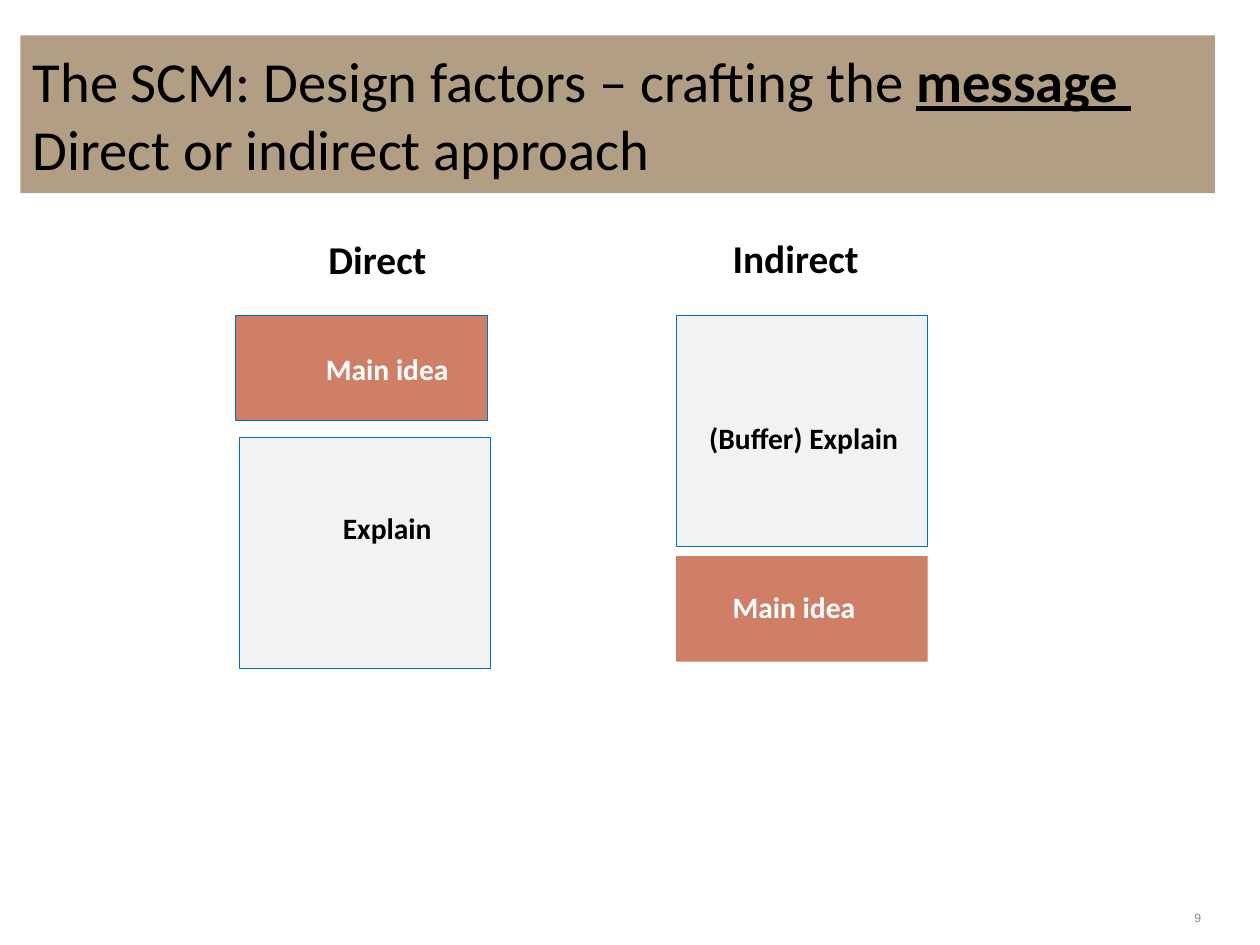
from pptx import Presentation
from pptx.dml.color import RGBColor
from pptx.enum.shapes import MSO_SHAPE
from pptx.enum.text import MSO_ANCHOR, MSO_AUTO_SIZE, PP_ALIGN
from pptx.util import Inches, Pt

CLAY, PALE, TAN, BLUE = "CF7F66", "F2F2F2", "B29E85", "0070C0"
BLACK, WHITE, GREY = "000000", "FFFFFF", "898989"


def paint(color, value):
    color.rgb = RGBColor.from_string(value)


def set_frame(frame, side, top, anchor=MSO_ANCHOR.MIDDLE):
    frame.word_wrap = True
    frame.auto_size = MSO_AUTO_SIZE.NONE
    frame.vertical_anchor = anchor
    frame.margin_left = frame.margin_right = Inches(side)
    frame.margin_top = frame.margin_bottom = Inches(top)


def set_font(para, size, color, align, bold=None, name="Calibri"):
    para.alignment = align
    font = para.font
    font.name, font.size, font.bold = name, Pt(size), bold
    paint(font.color, color)


def add_title(slide):
    title = slide.shapes.title
    title.left, title.top = Inches(0.23), Inches(0.4)
    title.width, title.height = Inches(13.48), Inches(1.78)
    title.fill.solid()
    paint(title.fill.fore_color, TAN)
    frame = title.text_frame
    set_frame(frame, 0.14, 0.07)
    first = frame.paragraphs[0]
    first.add_run().text = "The SCM: Design factors – crafting the "
    key = first.add_run()
    key.text = "message "
    key.font.bold = key.font.underline = True
    frame.add_paragraph().text = "Direct or indirect approach"
    for para in frame.paragraphs:
        para.line_spacing = 1.0
        para.space_before = Pt(0)
        set_font(para, 46, BLACK, PP_ALIGN.LEFT)


def add_block(slide, left, top, height, color, line=BLUE):
    block = slide.shapes.add_shape(
        MSO_SHAPE.RECTANGLE, Inches(left), Inches(top), Inches(2.84), Inches(height))
    block.shadow.inherit = False
    block.fill.solid()
    paint(block.fill.fore_color, color)
    if line:
        paint(block.line.color, line)
        block.line.width = Pt(0.75)
    else:
        block.line.fill.background()


def add_label(slide, text, left, top, size, color):
    box = slide.shapes.add_textbox(
        Inches(left), Inches(top), Inches(2.58), Inches(0.79))
    set_frame(box.text_frame, 0.14, 0.07)
    para = box.text_frame.paragraphs[0]
    para.text = text
    set_font(para, size, color, PP_ALIGN.CENTER, True)


def add_number(slide, text):
    box = slide.shapes.add_textbox(
        Inches(13.42), Inches(10.06), Inches(0.34), Inches(0.33))
    set_frame(box.text_frame, 0.06, 0.06, MSO_ANCHOR.TOP)
    para = box.text_frame.paragraphs[0]
    run = para.add_run()
    run.text = text
    run._r.get_or_add_rPr().set("baseline", "-25000")
    set_font(para, 17, GREY, PP_ALIGN.LEFT, name="Arial")


def main():
    deck = Presentation()
    deck.slide_width, deck.slide_height = Inches(14.22), Inches(10.67)
    slide = deck.slides.add_slide(deck.slide_layouts[5])
    add_title(slide)

    add_block(slide, 2.7, 4.94, 2.61, PALE)
    add_block(slide, 2.66, 3.56, 1.19, CLAY)
    add_block(slide, 7.63, 3.56, 2.61, PALE)
    add_block(slide, 7.63, 6.28, 1.19, CLAY, None)

    for text, left, top, size, color in (
        ("Direct", 2.97, 2.53, 32, BLACK),
        ("Indirect", 7.69, 2.51, 32, BLACK),
        ("Main idea", 3.08, 3.77, 24, WHITE),
        ("Main idea", 7.67, 6.45, 24, WHITE),
        ("Explain", 3.08, 5.56, 24, BLACK),
        ("(Buffer) Explain", 7.78, 4.55, 24, BLACK),
    ):
        add_label(slide, text, left, top, size, color)

    add_number(slide, "9")
    deck.save("out.pptx")


if __name__ == "__main__":
    main()
